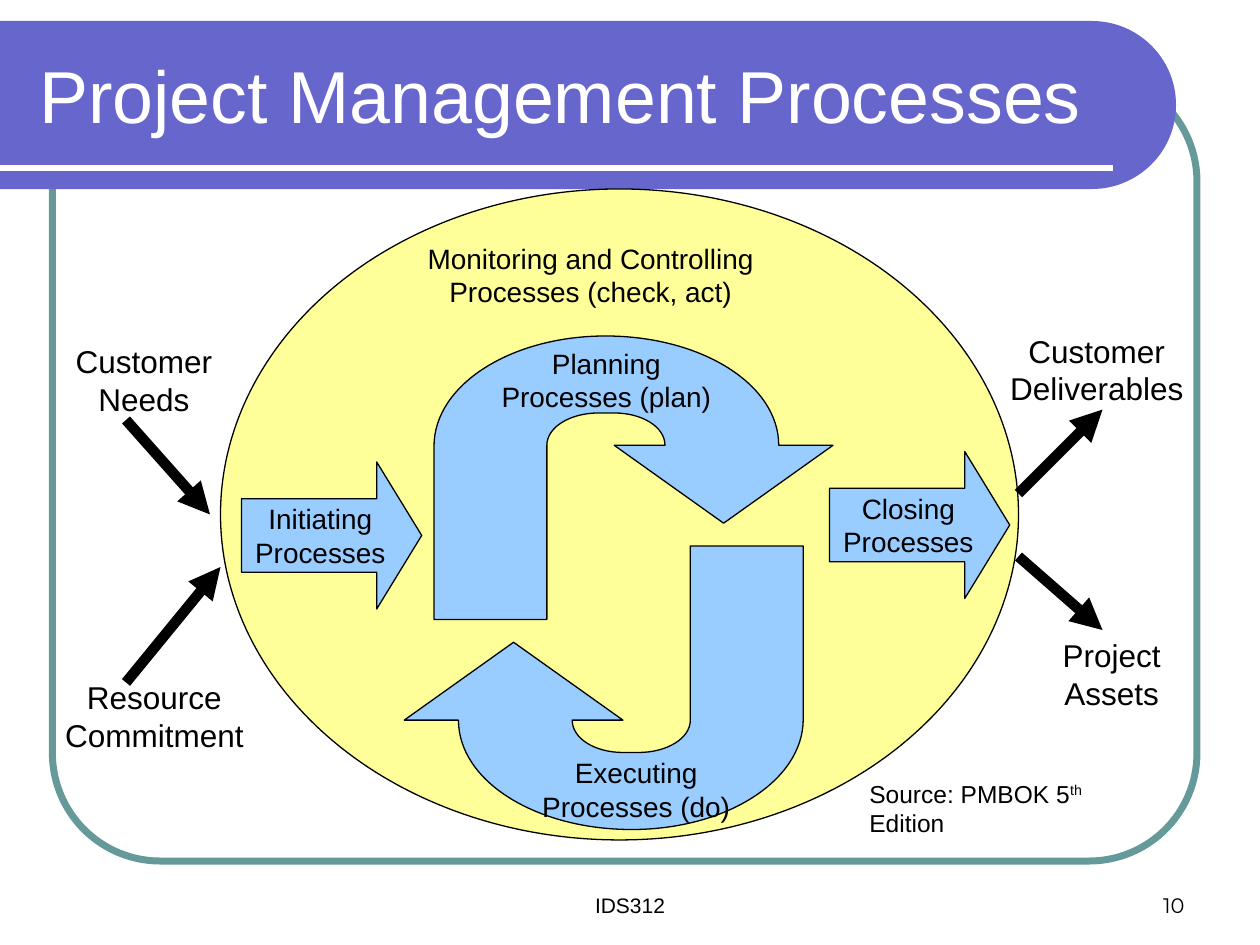
from lxml.etree import SubElement
from pptx import Presentation
from pptx.dml.color import RGBColor
from pptx.enum.shapes import MSO_CONNECTOR as Connector, MSO_SHAPE as Preset
from pptx.enum.text import MSO_ANCHOR as Anchor, MSO_AUTO_SIZE as AutoSize, PP_ALIGN as Align
from pptx.oxml.ns import qn
from pptx.util import Pt

BLACK, WHITE = "000000", "FFFFFF"
PURPLE, TEAL, YELLOW, BLUE = "6666CC", "669999", "FFFF99", "99CCFF"


def color(value):
    return RGBColor.from_string(value)


def paint(shape, fill=None, line=None, width=0.75):
    shape.shadow.inherit = False
    if fill:
        shape.fill.solid()
        shape.fill.fore_color.rgb = color(fill)
    else:
        shape.fill.background()
    if line:
        shape.line.color.rgb = color(line)
        shape.line.width = Pt(width)
    else:
        shape.line.fill.background()
    return shape


def add_preset(page, kind, box, **style):
    return paint(page.shapes.add_shape(kind, *map(Pt, box)), **style)


def add_span(para, text, size, ink=BLACK, font="Arial"):
    span = para.add_run()
    span.text = text
    span.font.size = Pt(size)
    span.font.name = font
    span.font.color.rgb = color(ink)
    return span


def write(shape, lines, size, align=Align.CENTER, anchor=Anchor.TOP, wrap=False, **style):
    frame = shape.text_frame
    frame.word_wrap = wrap
    frame.vertical_anchor = anchor
    for index, line in enumerate(lines):
        para = frame.add_paragraph() if index else frame.paragraphs[0]
        para.alignment = align
        add_span(para, line, size, **style)
    return frame


def add_label(page, box, lines, size, wrap=False, **style):
    frame = write(page.shapes.add_textbox(*map(Pt, box)), lines, size, wrap=wrap, **style)
    if not wrap:
        frame.auto_size = AutoSize.SHAPE_TO_FIT_TEXT
    return frame


def add_line(page, start, end, ink, width, arrow=False):
    line = page.shapes.add_connector(Connector.STRAIGHT, *map(Pt, start + end))
    line.line.color.rgb = color(ink)
    line.line.width = Pt(width)
    properties = line._element.spPr
    if arrow:
        SubElement(properties.find(qn("a:ln")), qn("a:tailEnd"), type="triangle")
    SubElement(properties, qn("a:effectLst"))


def bend(shape, curve_starts):
    outline = next(shape._element.iter(qn("a:path")))
    steps = outline.findall(qn("a:lnTo"))
    for start in curve_starts:
        curve, *others = steps[start:start + 3]
        curve.tag = qn("a:cubicBezTo")
        for other in others:
            curve.append(other[0])
            outline.remove(other)


def add_outline(page, box, start, segments, turned=False, **style):
    left, top, width, height = box
    points, curve_starts = [start], []
    for kind, *stops in segments:
        if kind == "curve":
            curve_starts.append(len(points) - 1)
        points += stops
    if turned:
        points = [(width - x, height - y) for x, y in points]
    placed = [(Pt(left + x), Pt(top + y)) for x, y in points]
    builder = page.shapes.build_freeform(*placed[0], scale=1.0)
    builder.add_line_segments(placed[1:], close=True)
    shape = builder.convert_to_shape()
    bend(shape, curve_starts)
    return paint(shape, **style)


def add_header(page, box):
    left, top, width, height = box
    middle = height / 2
    shoulder = width - middle
    add_preset(page, Preset.ROUNDED_RECTANGLE, (30, 42, 654, 450),
               line=TEAL, width=4).adjustments[0] = 0.137
    add_outline(page, box, (0, 0), [
        ("line", (shoulder, 0)),
        ("curve", (shoulder + 26, 0), (width, 21), (width, middle)),
        ("curve", (width, middle + 27), (shoulder + 26, height), (shoulder, height)),
        ("line", (0, height)),
    ], fill=PURPLE)
    add_line(page, (left, top + 84), (left + 636, top + 84), WHITE, 3)
    add_label(page, (left + 15.4, top + 6, 631.5, 72), ["Project Management Processes"], 42,
              align=Align.LEFT, anchor=Anchor.MIDDLE, wrap=True, ink=WHITE)


def add_block_arrow(page, box, lines):
    arrow = add_preset(page, Preset.RIGHT_ARROW, box, fill=BLUE, line=BLACK)
    arrow.adjustments[1] = 0.306
    write(arrow, lines, 16, anchor=Anchor.MIDDLE)


def add_turn_arrow(page, box, turned=False):
    add_outline(page, box, (165.5, 107), [
        ("line", (228, 62.5), (197, 62.5)),
        ("curve", (197, 27.5), (152.5, 0), (98, 0)),
        ("curve", (44, 0), (0, 28), (0, 63)),
        ("line", (0, 162), (64.5, 162), (64.5, 62.5)),
        ("curve", (64.5, 52), (78, 44), (94, 44)),
        ("line", (103, 44)),
        ("curve", (119, 44), (132, 52), (132, 62.5)),
        ("line", (103, 62.5)),
    ], turned, fill=BLUE, line=BLACK)


def add_cycle(page, box):
    left, top, width, height = box
    add_preset(page, Preset.OVAL, box, fill=YELLOW, line=BLACK)
    add_block_arrow(page, (left + 12, top + 156, 103, 84), ["Initiating", "Processes"])
    add_block_arrow(page, (left + 348, top + 150, 103, 84), ["Closing", "Processes"])
    add_turn_arrow(page, (left + 122, top + 84, 228, 162))
    add_turn_arrow(page, (left + 105, top + 204, 228, 162), turned=True)
    labels = [
        (153.2, 86.2, 134.5, ["Planning", "Processes (plan)"]),
        (176.3, 320.2, 122.5, ["Executing", "Processes (do)"]),
        (111, 26.3, 201, ["Monitoring and Controlling", "Processes (check, act)"]),
    ]
    for x, y, label_width, lines in labels:
        add_label(page, (left + x, top + y, label_width, 46), lines, 16)


def add_flows(page):
    labels = [
        (36, 192, 92.5, ["Customer", "Needs"]),
        (30, 384, 116.5, ["Resource", "Commitment"]),
        (570, 186, 113.5, ["Customer", "Deliverables"]),
        (600, 360, 70.5, ["Project", "Assets"]),
    ]
    for x, y, width, lines in labels:
        add_label(page, (x, y, width, 50.5), lines, 18)
    arrows = [
        ((582, 282), (630, 234)),
        ((582, 318), (630, 360)),
        ((72, 240), (120, 294)),
        ((72, 390), (126, 324)),
    ]
    for start, end in arrows:
        add_line(page, start, end, BLACK, 6, arrow=True)


def add_source(page, box):
    para = add_label(page, box, ["Source: PMBOK 5"], 14, align=Align.LEFT, wrap=True).paragraphs[0]
    add_span(para, "th", 14).font._element.set("baseline", "30000")
    add_span(para, " Edition", 14)


def add_footer(page, box):
    left, top, width, height = box
    add_label(page, (left, top, 312, height), ["IDS312"], 12, anchor=Anchor.BOTTOM, wrap=True)
    add_label(page, (left + 312, top, width - 312, height), ["10"], 12, align=Align.RIGHT,
              anchor=Anchor.BOTTOM, wrap=True, font="Montserrat")


def main():
    deck = Presentation()
    deck.slide_width, deck.slide_height = Pt(720), Pt(540)
    page = deck.slides.add_slide(deck.slide_layouts[6])
    add_header(page, (0, 12, 672, 96))
    add_footer(page, (204, 492, 480, 36))
    add_cycle(page, (126, 108, 456, 372))
    add_flows(page)
    add_source(page, (489.7, 441.5, 166.5, 24.5))
    deck.save("out.pptx")


if __name__ == "__main__":
    main()
